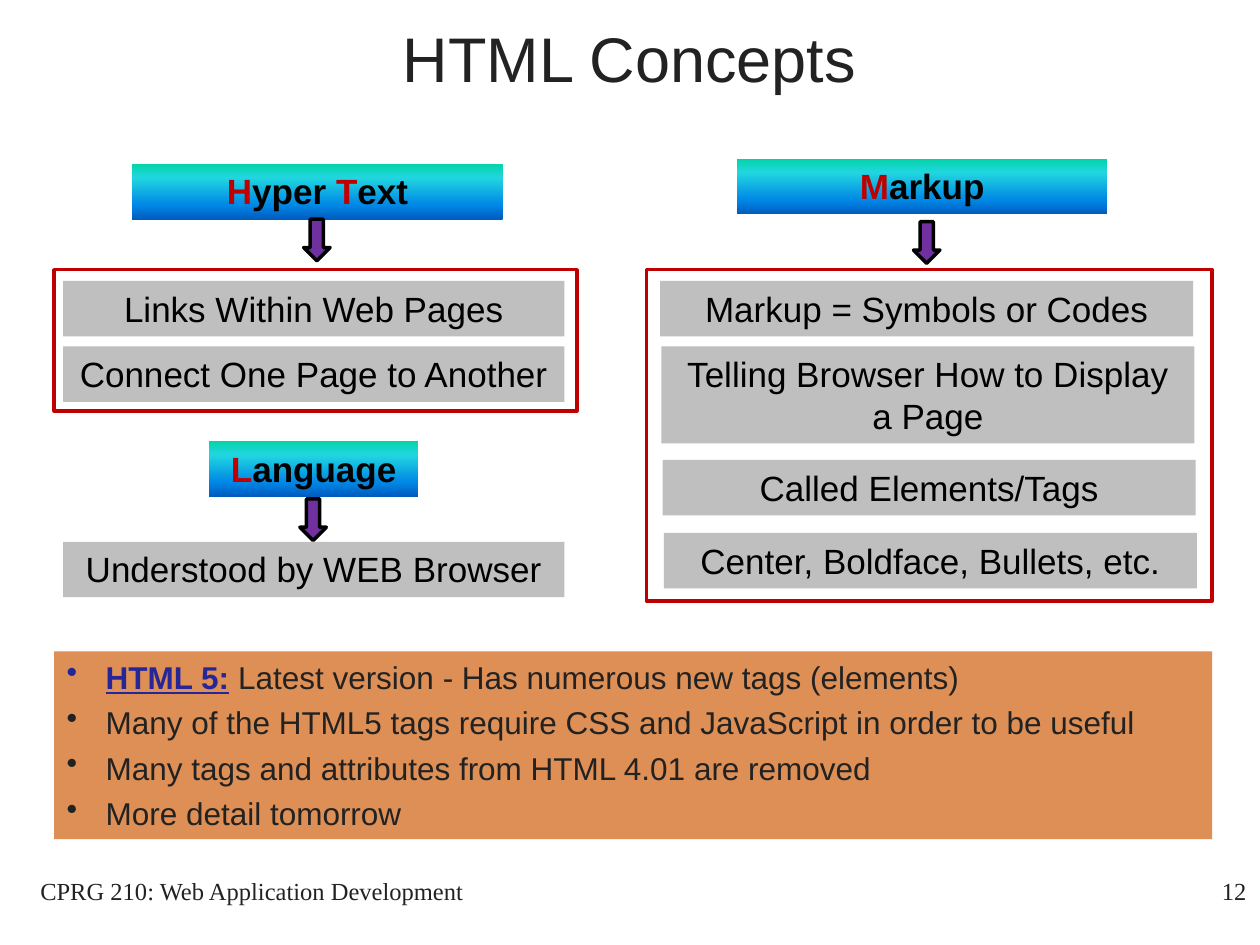
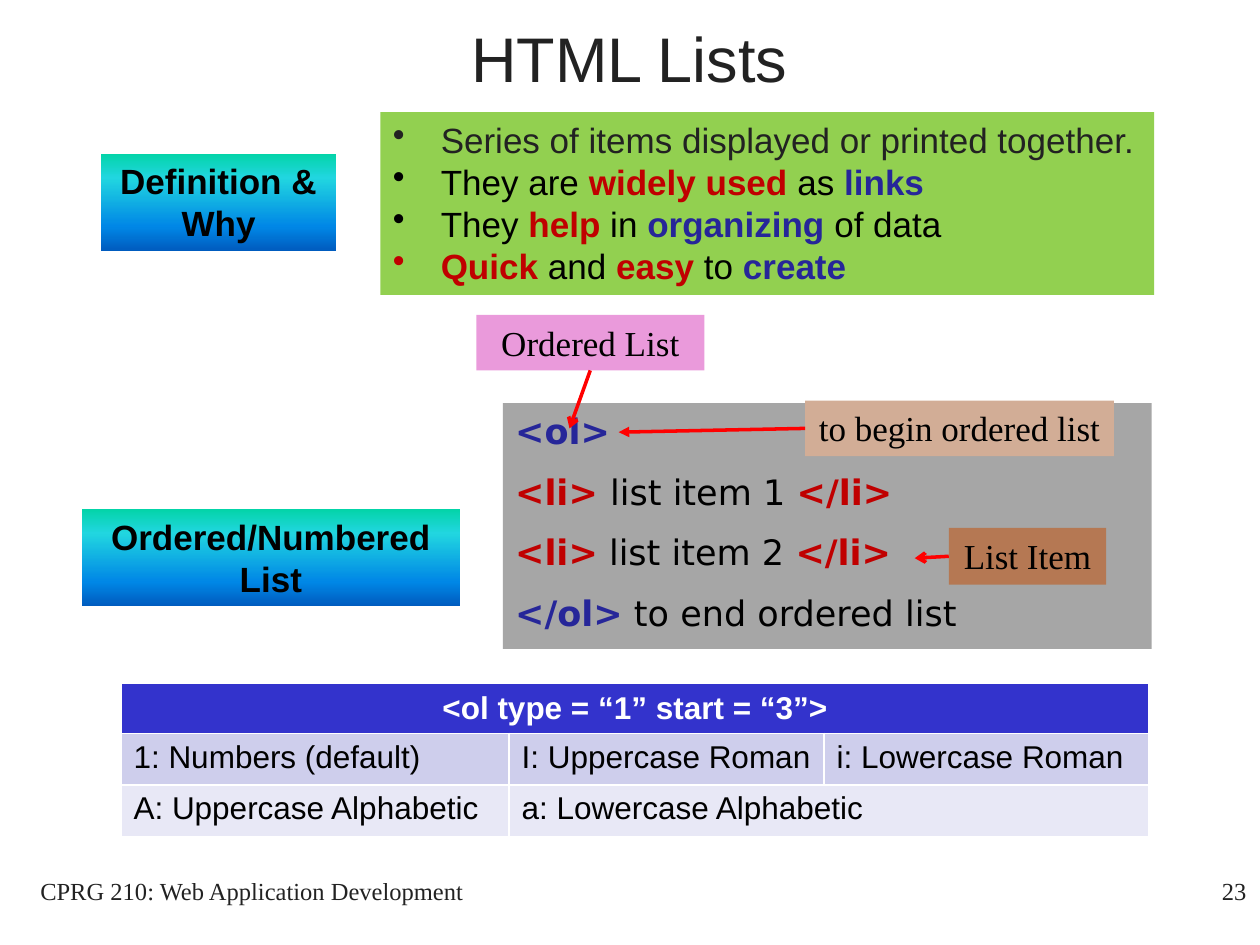
"""Build two slides on HTML concepts and HTML lists."""
from lxml.etree import SubElement
from pptx import Presentation
from pptx.dml.color import RGBColor
from pptx.enum.shapes import MSO_CONNECTOR as Connector, MSO_SHAPE as Shape
from pptx.enum.text import MSO_ANCHOR as Anchor, PP_ALIGN as Align
from pptx.oxml import parse_xml
from pptx.oxml.ns import nsdecls, qn
from pptx.util import Inches, Pt

COLORS = {
    "ink": "222222", "black": "000000", "white": "FFFFFF", "red": "C00000",
    "navy": "262699", "purple": "7030A0", "silver": "BFBFBF", "gray": "A6A6A6",
    "orange": "D5742B", "green": "92D050", "pink": "EA9ADB", "sand": "D2AD96",
    "brown": "B57853", "arrow": "FF0000", "header": "3333CC",
    "band 1": "CECEEC", "band 2": "E8E8F6",
}
HEADING_STOPS = [(0, "03D4A8"), (25, "21D6E0"), (75, "0087E6"), (100, "005CBF")]
SANS, SERIF, CODE = "Arial", "Times New Roman", "DejaVu Sans"
FOOTER = "CPRG 210: Web Application Development"
ROW = 0.44
TALL_ROW = 0.77

STYLES = {
    "plain": ("black", False), "ink": ("ink", False), "strong": ("black", True),
    "key": ("red", True), "term": ("navy", True),
}

CONCEPT_HEADINGS = [
    ((1.05, 1.3, 2.94, ROW), [("H", "key"), ("yper ", "strong"), ("T", "key"), ("ext", "strong")]),
    ((5.85, 1.26, 2.94, ROW), [("M", "key"), ("arkup", "strong")]),
    ((1.66, 3.5, 1.66, ROW), [("L", "key"), ("anguage", "strong")]),
]
DOWN_ARROWS = [(2.41, 1.74), (7.25, 1.76), (2.38, 3.96)]
FRAMES = [(0.43, 2.14, 4.15, 1.12), (5.13, 2.14, 4.49, 2.63)]
LEFT_FACTS = [
    (2.23, ROW, "Links Within Web Pages"),
    (2.75, ROW, "Connect One Page to Another"),
    (4.3, ROW, "Understood by WEB Browser"),
]
RIGHT_FACTS = [
    (2.23, ROW, "Markup = Symbols or Codes"),
    (2.75, TALL_ROW, "Telling Browser How to Display a Page"),
    (3.65, ROW, "Called Elements/Tags"),
    (4.23, ROW, "Center, Boldface, Bullets, etc."),
]
FACT_COLUMNS = [(0.5, 0, 3.98, LEFT_FACTS), (5.24, 0.01, 4.23, RIGHT_FACTS)]
VERSION_NOTES = [
    [("HTML 5:", "term"), (" Latest version - Has numerous new tags (elements)", "ink")],
    [("Many of the HTML5 tags require CSS and JavaScript in order to be useful", "ink")],
    [("Many tags and attributes from HTML 4.01 are removed", "ink")],
    [("More detail tomorrow", "ink")],
]

LIST_HEADINGS = [
    ((0.8, 1.22, 1.87, TALL_ROW), [("Definition & Why", "strong")]),
    ((0.65, 4.04, 3, TALL_ROW), [("Ordered/Numbered List", "strong")]),
]
LIST_REASONS = [
    [("Series of items displayed or printed together.", "ink")],
    [("They are ", "plain"), ("widely used", "key"), (" as ", "plain"), ("links", "term")],
    [("They ", "plain"), ("help", "key"), (" in ", "plain"), ("organizing", "term"),
     (" of data", "plain")],
    [("Quick", "key"), (" and ", "plain"), ("easy", "key"), (" to ", "plain"), ("create", "term")],
]
LIST_CODE = [
    [("<ol>", "term")],
    [("<li> ", "key"), ("list item 1 ", "plain"), ("</li>", "key")],
    [("<li>", "key"), (" list item 2 ", "plain"), ("</li>", "key")],
    [("</ol>", "term"), (" to end ordered list", "plain")],
]
CALLOUTS = [
    ("Ordered List", (3.78, 2.5, 1.81, ROW), "pink", 2, (4.52, 3.4), "arrow"),
    ("to begin ordered list", (6.39, 3.18, 2.45, ROW), "sand", 1, (4.91, 3.43), "triangle"),
    ("List Item", (7.53, 4.19, 1.25, 0.45), "brown", 1, (7.26, 4.43), "arrow"),
]
TYPE_COLUMNS = [3.08, 2.5, 2.58]
TYPE_ROW_HEIGHTS = [0.4, 0.41, 0.41]
TYPE_ROWS = [
    ["<ol type = “1” start = “3”>", "", ""],
    ["1: Numbers (default)", "I: Uppercase Roman", "i: Lowercase Roman"],
    ["A: Uppercase Alphabetic", "a: Lowercase Alphabetic", ""],
]


def rgb(name):
    return RGBColor.from_string(COLORS[name])


def set_font(font, name, size, color=None):
    font.name, font.size = name, Pt(size)
    if color:
        font.color.rgb = rgb(color)


def move(shape, area):
    shape.left, shape.top, shape.width, shape.height = map(Inches, area)


def add_box(page, area, fill=None, line=None, kind=Shape.RECTANGLE):
    box = page.shapes.add_shape(kind, *map(Inches, area))
    box.shadow.inherit = False
    if fill:
        box.fill.solid()
        box.fill.fore_color.rgb = rgb(fill)
    else:
        box.fill.background()
    if line:
        box.line.color.rgb = rgb(line)
        box.line.width = Pt(2)
    else:
        box.line.fill.background()
    return box


def write(box, paragraphs, font=SANS, size=20, align=Align.CENTER, gap=0, indent=0):
    frame = box.text_frame
    frame.word_wrap = True
    frame.vertical_anchor = Anchor.TOP
    for index, spans in enumerate(paragraphs):
        para = frame.add_paragraph() if index else frame.paragraphs[0]
        para.alignment = align
        para.space_before = Pt(gap)
        set_font(para.font, font, size)
        if indent:
            add_bullet(para, indent)
        for text, style in spans:
            span = para.add_run()
            span.text = text
            color, bold = STYLES[style]
            set_font(span.font, font, size, color)
            span.font.bold = bold


def add_bullet(para, indent):
    properties = para._p.get_or_add_pPr()
    properties.set("marL", str(Inches(indent)))
    properties.set("indent", str(-Inches(indent)))
    bullet = parse_xml(f'<a:buChar {nsdecls("a")} char="•"/>')
    properties.find(qn("a:defRPr")).addprevious(bullet)


def add_heading(page, area, spans):
    box = add_box(page, area)
    properties = box._element.spPr
    stops = "".join(
        f'<a:gs pos="{share * 1000}"><a:srgbClr val="{color}"/></a:gs>'
        for share, color in HEADING_STOPS)
    gradient = parse_xml(
        f'<a:gradFill {nsdecls("a")}><a:gsLst>{stops}</a:gsLst>'
        '<a:lin ang="5400000" scaled="1"/></a:gradFill>')
    properties.replace(properties.find(qn("a:noFill")), gradient)
    write(box, [spans])


def add_callout(page, text, area, fill, side, target, head):
    box = add_box(page, area, fill)
    write(box, [[(text, "plain")]], SERIF)
    box.text_frame.word_wrap = False
    x, y = map(Inches, target)
    pointer = page.shapes.add_connector(Connector.STRAIGHT, x, y, x, y)
    pointer.begin_connect(box, side)
    pointer.line.color.rgb = rgb("arrow")
    pointer.line.width = Pt(2)
    properties = pointer._element.spPr
    SubElement(properties.find(qn("a:ln")), qn("a:tailEnd"), type=head)
    SubElement(properties, qn("a:effectLst"))


def add_page(deck, title, number):
    page = deck.slides.add_slide(deck.slide_layouts[5])
    heading = page.shapes.title
    move(heading, (0.58, -0.17, 8.83, 1.25))
    heading.text_frame.text = title
    heading.text_frame.vertical_anchor = Anchor.MIDDLE
    para = heading.text_frame.paragraphs[0]
    para.alignment = Align.CENTER
    set_font(para.font, SANS, 36, "ink")
    for text, left, width, align in [(FOOTER, 0, 4, Align.CENTER),
                                     (str(number), 7.91, 2.08, Align.RIGHT)]:
        box = page.shapes.add_textbox(*map(Inches, (left, 6.9, width, 0.5)))
        write(box, [[(text, "ink")]], SERIF, 14, align)
    return page


def add_type_table(page):
    area = (0.96, 5.42, sum(TYPE_COLUMNS), sum(TYPE_ROW_HEIGHTS))
    table = page.shapes.add_table(len(TYPE_ROWS), len(TYPE_COLUMNS), *map(Inches, area)).table
    for column, width in zip(table.columns, TYPE_COLUMNS):
        column.width = Inches(width)
    fills = ["header", "band 1", "band 2"]
    for r, (texts, height, fill) in enumerate(zip(TYPE_ROWS, TYPE_ROW_HEIGHTS, fills)):
        table.rows[r].height = Inches(height)
        for c, text in enumerate(texts):
            cell = table.cell(r, c)
            cell.fill.solid()
            cell.fill.fore_color.rgb = rgb(fill)
            cell.text = text
            cell.vertical_anchor = Anchor.TOP if r else Anchor.MIDDLE
            para = cell.text_frame.paragraphs[0]
            para.alignment = Align.LEFT if r else Align.CENTER
            set_font(para.font, SANS, 18, "black" if r else "white")
            para.font.bold = r == 0
    table.cell(0, 0).merge(table.cell(0, 2))
    table.cell(2, 1).merge(table.cell(2, 2))


def build_concepts(deck):
    page = add_page(deck, "HTML Concepts", 12)
    for area, spans in CONCEPT_HEADINGS:
        add_heading(page, area, spans)
    for left, step, width, facts in FACT_COLUMNS:
        for index, (top, height, text) in enumerate(facts):
            box = add_box(page, (left + index * step, top, width, height), "silver")
            write(box, [[(text, "plain")]])
    for area in FRAMES:
        add_box(page, area, line="red")
    for left, top in DOWN_ARROWS:
        add_box(page, (left, top, 0.21, 0.33), "purple", "black", Shape.DOWN_ARROW)
    notes = add_box(page, (0.43, 5.17, 9.19, 1.49), "orange")
    color = notes._element.spPr.find(qn("a:solidFill")).find(qn("a:srgbClr"))
    SubElement(color, qn("a:alpha"), val="80000")
    write(notes, VERSION_NOTES, size=18, align=Align.LEFT, gap=4.4, indent=0.31)
    notes.text_frame.paragraphs[0].runs[0].font.underline = True


def build_lists(deck):
    page = add_page(deck, "HTML Lists", 23)
    for area, spans in LIST_HEADINGS:
        add_heading(page, area, spans)
    reasons = add_box(page, (3.02, 0.89, 6.14, 1.45), "green")
    write(reasons, LIST_REASONS, align=Align.LEFT, indent=0.38)
    code = add_box(page, (3.99, 3.2, 5.15, 1.95), "gray")
    write(code, LIST_CODE, CODE, align=Align.LEFT, gap=10.7)
    for callout in CALLOUTS:
        add_callout(page, *callout)
    add_type_table(page)


def main():
    deck = Presentation()
    deck.slide_width, deck.slide_height = Inches(10), Inches(7.5)
    build_concepts(deck)
    build_lists(deck)
    deck.save("out.pptx")


if __name__ == "__main__":
    main()
